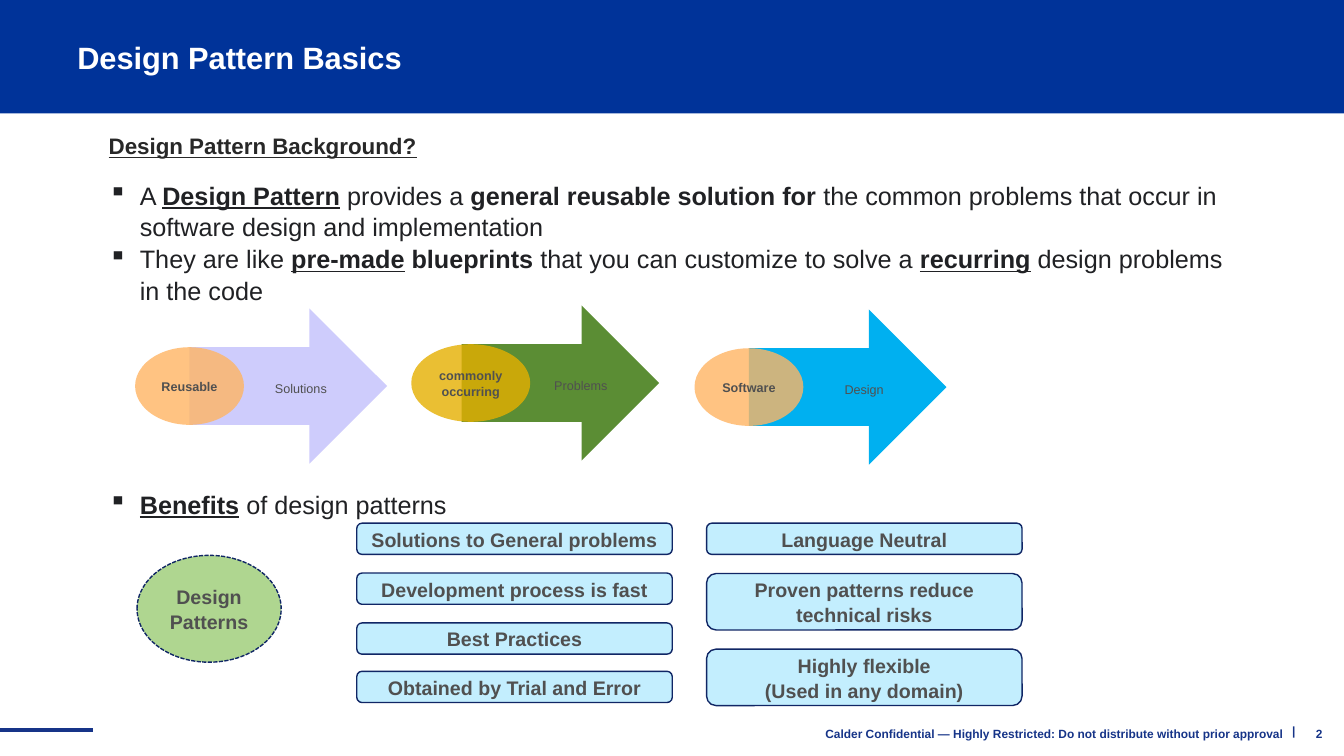
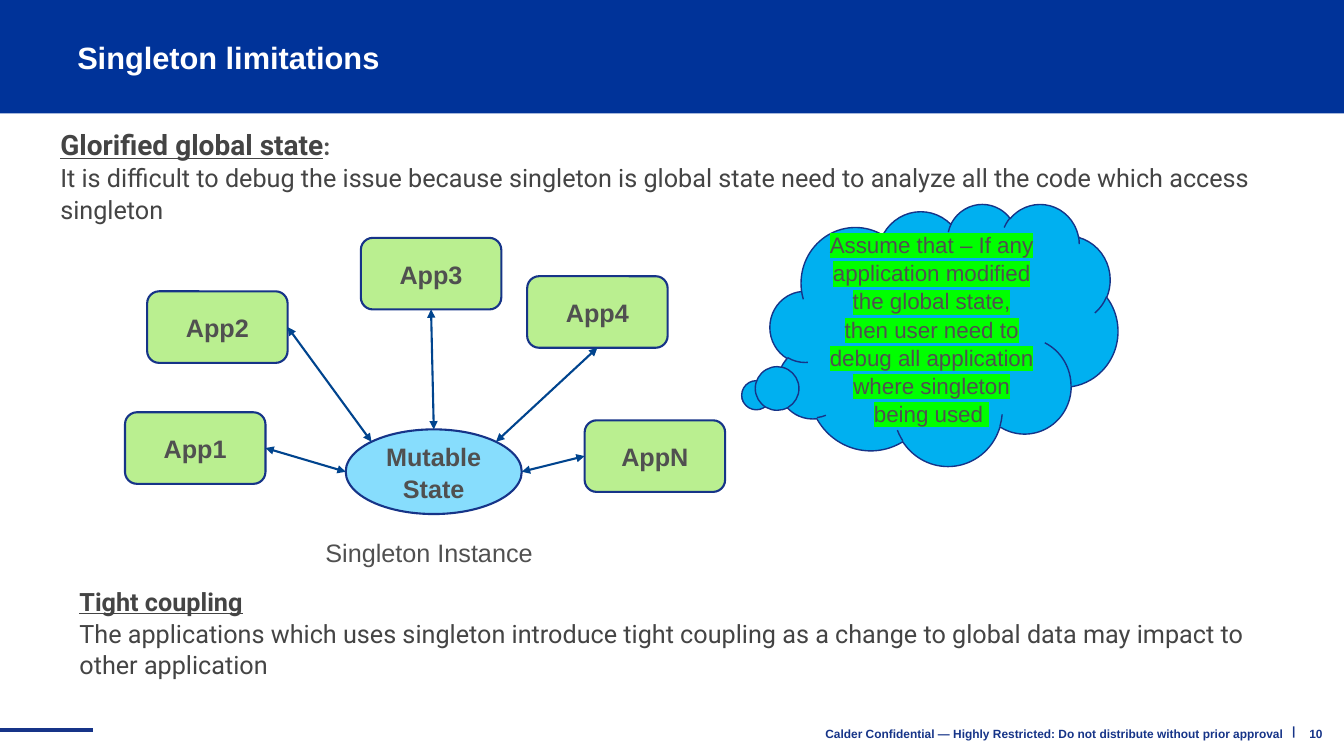
from dataclasses import dataclass
from math import cos, radians, sin

from lxml.etree import SubElement
from pptx import Presentation
from pptx.dml.color import RGBColor
from pptx.enum.dml import MSO_LINE
from pptx.enum.shapes import MSO_CONNECTOR, MSO_SHAPE
from pptx.enum.text import MSO_ANCHOR, MSO_AUTO_SIZE, PP_ALIGN
from pptx.oxml.ns import qn
from pptx.util import Inches, Pt

COLUMNS, ROWS = 40, 30
LEFT, CENTER, RIGHT = PP_ALIGN.LEFT, PP_ALIGN.CENTER, PP_ALIGN.RIGHT
TOP, MIDDLE = MSO_ANCHOR.TOP, MSO_ANCHOR.MIDDLE
BOLD = {"bold": True}
KEY = {"bold": True, "underline": True}


@dataclass(frozen=True)
class Theme:
    # Colours
    band: str = "003399"
    navy: str = "163488"
    outline: str = "102665"
    arrow: str = "00448E"
    white: str = "FFFFFF"
    text: str = "505050"
    heading: str = "282828"
    body: str = "202124"
    note: str = "444444"
    sky: str = "00B0F0"
    lilac: str = "CECCFC"
    forest: str = "5B8D34"
    orange: str = "FFB563"
    gold: str = "E5AF00"
    sage: str = "AFD690"
    ice: str = "C3EEFE"
    aqua: str = "87DDFD"
    lime: str = "BAEF90"
    marker: str = "00FF00"
    # Type
    font: str = "Arial"
    note_font: str = "Roboto"
    colon_font: str = "Lato"
    title_size: float = 22
    lead_size: float = 20
    body_size: float = 18
    heading_size: float = 16
    box_size: float = 14
    label_size: float = 9
    footer_size: float = 8.5
    line_spacing: float = 1.05


THEME = Theme()


def rgb(color):
    return RGBColor.from_string(color)


class Deck:
    """Holds the style and the current slide; places are grid columns and rows."""

    def __init__(self, theme):
        self.theme = theme
        self.presentation = Presentation()
        self.presentation.slide_width = Inches(13.333)
        self.presentation.slide_height = Inches(7.5)
        self.slide = None

    def x(self, columns):
        return round(self.presentation.slide_width * columns / COLUMNS)

    def y(self, rows):
        return round(self.presentation.slide_height * rows / ROWS)

    def place(self, left, top, width, height):
        return self.x(left), self.y(top), self.x(width), self.y(height)

    def new_slide(self, title, number):
        theme = self.theme
        layout = self.presentation.slide_layouts[5]
        self.slide = self.presentation.slides.add_slide(layout)
        # Title on its band
        band = self.shape(MSO_SHAPE.RECTANGLE, (0, 0, COLUMNS, 4.5), theme.band)
        holder = self.slide.shapes.title
        holder.element.addprevious(band.element)
        holder.left, holder.top, holder.width, holder.height = self.place(2, 1.12, 35.25, 2.48)
        self.set_text(holder, [title], theme.title_size, theme.white, LEFT,
                      bold=True, spacing=0.9)
        # Footer
        self.line((0, 28.96), (2.76, 28.96), theme.navy, 3)
        notice = ("Calder Confidential — Highly Restricted: "
                  "Do not distribute without prior approval")
        for words, box, align in (("|", (38.13, 28.2, 0.75, 1.6), CENTER),
                                  (notice, (18.72, 28.32, 19.77, 1.56), RIGHT),
                                  (str(number), (37.77, 28.32, 1.89, 1.6), RIGHT)):
            self.text(box, [words], theme.footer_size, theme.navy, align, MIDDLE, bold=True)

    def set_text(self, shape, paragraphs, size, color, align=CENTER, anchor=MIDDLE,
                 bold=False, font=None, spacing=None):
        """Fill a shape; a paragraph is a string or a list of (text, format) runs."""
        frame = shape.text_frame
        settings = {"word_wrap": True, "auto_size": MSO_AUTO_SIZE.NONE,
                    "vertical_anchor": anchor}
        for name, value in settings.items():
            setattr(frame, name, value)
        base = {"size": size, "color": color, "bold": bold,
                "name": font or self.theme.font}
        for index, content in enumerate(paragraphs):
            paragraph = frame.paragraphs[0] if index == 0 else frame.add_paragraph()
            paragraph.alignment = align
            paragraph.line_spacing = spacing or self.theme.line_spacing
            runs = [(content, {})] if isinstance(content, str) else content
            for words, style in runs:
                run = paragraph.add_run()
                run.text = words
                self.format_run(run, {**base, **style})
        return shape

    @staticmethod
    def format_run(run, style):
        style = dict(style)
        run.font.color.rgb = rgb(style.pop("color"))
        style["size"] = Pt(style["size"])
        for name, value in style.items():
            setattr(run.font, name, value)

    def text(self, box, paragraphs, size, color, align=LEFT, anchor=TOP, **style):
        shape = self.slide.shapes.add_textbox(*self.place(*box))
        return self.set_text(shape, paragraphs, size, color, align, anchor, **style)

    def bullets(self, box, paragraphs, size, color):
        shape = self.text(box, paragraphs, size, color)
        for paragraph in shape.text_frame.paragraphs:
            properties = paragraph._p.get_or_add_pPr()
            properties.set("marL", str(Inches(0.31)))
            properties.set("indent", str(-Inches(0.31)))
            SubElement(properties, qn("a:buChar"), char="▪")
        return shape

    def shape(self, kind, box, fill, line=None, width=1, dash=None, opacity=None):
        shape = self.slide.shapes.add_shape(kind, *self.place(*box))
        shape.shadow.inherit = False
        shape.fill.solid()
        shape.fill.fore_color.rgb = rgb(fill)
        if opacity:
            color = shape.element.spPr.find(qn("a:solidFill")).find(qn("a:srgbClr"))
            SubElement(color, qn("a:alpha"), val=str(opacity * 1000))
        if line:
            shape.line.color.rgb = rgb(line)
            shape.line.width = Pt(width)
            shape.line.dash_style = dash
        else:
            shape.line.fill.background()
        return shape

    def box(self, box, paragraphs, size, fill, line, width=1):
        shape = self.shape(MSO_SHAPE.ROUNDED_RECTANGLE, box, fill, line, width)
        return self.set_text(shape, paragraphs, size, self.theme.text, bold=True)

    def oval(self, box, words, size, fill, **outline):
        shape = self.shape(MSO_SHAPE.OVAL, box, fill, **outline)
        shape.text_frame.margin_left = shape.text_frame.margin_right = 0
        return self.set_text(shape, [words], size, self.theme.text, bold=True)

    def line(self, start, end, color, width, arrows=False):
        connector = self.slide.shapes.add_connector(
            MSO_CONNECTOR.STRAIGHT, self.x(start[0]), self.y(start[1]),
            self.x(end[0]), self.y(end[1]))
        connector.line.color.rgb = rgb(color)
        connector.line.width = Pt(width)
        if arrows:
            outline = connector.element.spPr.find(qn("a:ln"))
            for end_name in ("a:headEnd", "a:tailEnd"):
                SubElement(outline, qn(end_name), type="triangle")
        SubElement(connector.element.spPr, qn("a:effectLst"))
        return connector

    def highlight(self, shape, color):
        for paragraph in shape.text_frame.paragraphs:
            for run in paragraph.runs:
                properties = run._r.get_or_add_rPr()
                mark = SubElement(properties, qn("a:highlight"))
                SubElement(mark, qn("a:srgbClr"), val=color)
                properties.find(qn("a:latin")).addprevious(mark)


def build_basics(deck):
    theme = deck.theme
    deck.new_slide("Design Pattern Basics", 2)
    deck.text((2.94, 5, 12, 1.88), [[("Design Pattern Background?", KEY)]],
              theme.heading_size, theme.heading)

    # Bullets, with a gap for the arrows before the last one
    bullets = deck.bullets((2.94, 6.88, 34.08, 22.2), [
        [("A ", {}), ("Design Pattern", KEY), (" provides a ", {}),
         ("general reusable solution for", BOLD),
         (" the common problems that occur in software design and implementation", {})],
        [("They are like ", {}), ("pre-made", KEY), (" ", {}), ("blueprints", BOLD),
         (" that you can customize to solve a ", {}), ("recurring", KEY),
         (" design problems in the code", {})],
        [("Benefits", KEY), (" of design patterns", {})],
    ], theme.body_size, theme.body)
    bullets.text_frame.paragraphs[-1].space_before = Pt(130)

    # Arrows: left, top, fill; oval text, shift, width, fill; label, shift
    arrows = (
        (5.64, 12.24, theme.lilac, "Reusable", 1.62, 3.24, theme.orange, "Solutions", 2.25),
        (13.74, 12.12, theme.forest, "commonly occurring", 1.5, 3.54, theme.gold,
         "Problems", 2.46),
        (22.29, 12.28, theme.sky, "Software", 1.62, 3.24, theme.orange, "Design", 2.55),
    )
    for left, top, fill, name, shift, width, tint, label, label_shift in arrows:
        deck.shape(MSO_SHAPE.RIGHT_ARROW, (left, top, 5.88, 6.16), fill)
        deck.oval((left - shift, top + 1.54, width, 3.08), name, theme.label_size,
                  tint, opacity=80)
        deck.text((left + label_shift, top + 2.66, 2.7, 0.84), [label],
                  theme.label_size, theme.text)

    # Benefits in two columns
    deck.oval((4.08, 22.04, 4.29, 4.24), "Design Patterns", theme.box_size, theme.sage,
              line=theme.outline, dash=MSO_LINE.SQUARE_DOT)
    benefits = (
        (10.62, ((20.76, 1.24, ["Solutions to General problems"]),
                 (22.74, 1.24, ["Development process is fast"]),
                 (24.72, 1.24, ["Best Practices"]),
                 (26.64, 1.24, ["Obtained by Trial and Error"]))),
        (21.03, ((20.76, 1.24, ["Language Neutral"]),
                 (22.76, 2.24, ["Proven patterns reduce technical risks"]),
                 (25.76, 2.24, ["Highly flexible", "(Used in any domain)"]))),
    )
    for left, entries in benefits:
        for top, height, words in entries:
            deck.box((left, top, 9.39, height), words, theme.box_size,
                     theme.ice, theme.outline)


def build_limitations(deck):
    theme = deck.theme
    deck.new_slide("Singleton limitations", 10)
    deck.text((1.5, 4.8, 36.45, 5.4), [
        [("Glorified global state", {**KEY, "size": theme.lead_size}),
         (":", {**BOLD, "name": theme.colon_font, "color": theme.text})],
        "It is difficult to debug the issue because singleton is global state "
        "need to analyze all the code which access singleton",
    ], theme.body_size, theme.note, font=theme.note_font)

    # Shared state, with each application tied to the rim at an angle
    left, top, width, height = state = (10.29, 17.04, 5.24, 3.36)
    deck.oval(state, "Mutable State", theme.body_size, theme.aqua,
              line=theme.navy, width=1.5)
    left_side, bottom_side, right_side = 1, 2, 3
    applications = (
        ("App1", 3.72, 16.36, 180, right_side),
        ("App2", 4.38, 11.56, 225, right_side),
        ("App3", 10.74, 9.44, 270, bottom_side),
        ("App4", 15.69, 10.96, 315, bottom_side),
        ("AppN", 17.4, 16.68, 0, left_side),
    )
    for name, column, row, angle, side in applications:
        application = deck.box((column, row, 4.18, 2.84), [name], theme.body_size,
                               theme.lime, theme.navy, 1.5)
        rim = (left + width / 2 * (1 + cos(radians(angle))),
               top + height / 2 * (1 + sin(radians(angle))))
        link = deck.line(rim, (column, row), theme.arrow, 1.5, arrows=True)
        link.end_connect(application, side)

    # Thought cloud
    cloud = deck.shape(MSO_SHAPE.CLOUD_CALLOUT, (22.92, 8.08, 10.35, 10.4),
                       theme.sky, theme.navy)
    cloud.adjustments[0], cloud.adjustments[1] = -0.56, 0.24
    deck.set_text(cloud, ["Assume that – If any application modified the global state, "
                          "then user need to debug all application where singleton "
                          "being used "], theme.heading_size, theme.text)
    deck.highlight(cloud, theme.marker)

    # Caption and closing note
    deck.text((9.39, 21.08, 7.08, 1.6), ["Singleton Instance"],
              theme.body_size, theme.text)
    deck.text((2.07, 23, 36.45, 5.24), [
        [("Tight coupling", KEY)],
        "The applications which uses singleton introduce tight coupling as a change "
        "to global data may impact to other application",
    ], theme.body_size, theme.note, font=theme.note_font)


def main():
    deck = Deck(THEME)
    build_basics(deck)
    build_limitations(deck)
    deck.presentation.save("out.pptx")


if __name__ == "__main__":
    main()
